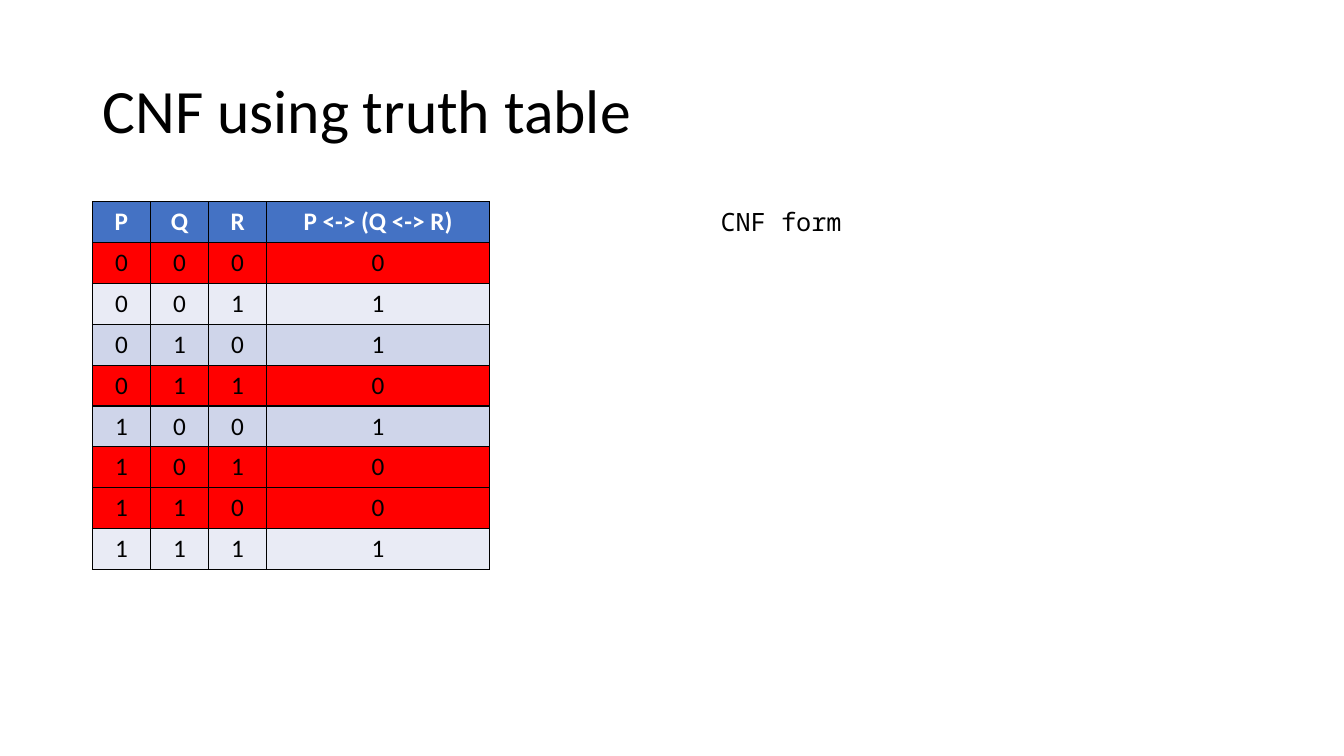
from itertools import product

from lxml import etree
from pptx import Presentation
from pptx.dml.color import RGBColor
from pptx.enum.text import MSO_ANCHOR as Anchor, MSO_AUTO_SIZE as Fit, PP_ALIGN as Align
from pptx.oxml.ns import qn
from pptx.util import Pt

BLACK, WHITE = "000000", "FFFFFF"
HEAD, FALSE = "4472C4", "FF0000"
BANDS = ["E9EBF5", "CFD5EA"]


def color(code):
    return RGBColor.from_string(code)


def style(para, size, code=BLACK, bold=False, face="Calibri"):
    for run in para.runs:
        font = run.font
        font.name, font.size, font.bold = face, Pt(size), bold
        font.color.rgb = color(code)


def place(shape, box):
    shape.left, shape.top, shape.width, shape.height = map(Pt, box)


def border(cell, width=1):
    props = cell._tc.get_or_add_tcPr()
    for side in ("a:lnL", "a:lnR", "a:lnT", "a:lnB"):
        line = etree.SubElement(props, qn(side), w=str(Pt(width)))
        fill = etree.SubElement(line, qn("a:solidFill"))
        etree.SubElement(fill, qn("a:srgbClr"), val=BLACK)


def add_title(slide, box, text):
    title = slide.shapes.title
    place(title, box)
    frame = title.text_frame
    frame.text = text
    frame.vertical_anchor = Anchor.MIDDLE
    para = frame.paragraphs[0]
    para.alignment = Align.LEFT
    para.line_spacing = 0.9
    style(para, 44)


def add_truth(slide, box):
    # The formula holds when an odd number of inputs is true
    rows = [("P", "Q", "R", "P <-> (Q <-> R)")]
    rows += [bits + (sum(bits) % 2,) for bits in product((0, 1), repeat=3)]
    grid = slide.shapes.add_table(len(rows), 4, *map(Pt, box)).table
    widths = [41.5] * 3
    widths.append(box[2] - sum(widths))
    for col, width in zip(grid.columns, widths):
        col.width = Pt(width)

    # False rows are red, the others banded
    for r, row in enumerate(rows):
        grid.rows[r].height = Pt(box[3] / len(rows))
        back = HEAD if r == 0 else BANDS[r % 2] if row[-1] else FALSE
        for c, value in enumerate(row):
            cell = grid.cell(r, c)
            border(cell)
            cell.fill.solid()
            cell.fill.fore_color.rgb = color(back)
            para = cell.text_frame.paragraphs[0]
            para.text = str(value)
            para.alignment = Align.CENTER
            style(para, 18, BLACK if r else WHITE, r == 0)


def add_form(slide, box, text):
    frame = slide.shapes.add_textbox(*map(Pt, box)).text_frame
    frame.word_wrap = True
    frame.auto_size = Fit.SHAPE_TO_FIT_TEXT
    frame.text = text
    style(frame.paragraphs[0], 18, face="Noto Sans Mono")


def main():
    deck = Presentation()
    deck.slide_width, deck.slide_height = Pt(960), Pt(540)
    slide = deck.slides.add_slide(deck.slide_layouts[5])
    add_title(slide, (66, 28.75, 828, 104.4), "CNF using truth table")
    add_truth(slide, (66, 144, 283.6, 262.8))
    add_form(slide, (507.6, 144, 386, 29), "CNF form")
    deck.save("out.pptx")


if __name__ == "__main__":
    main()
